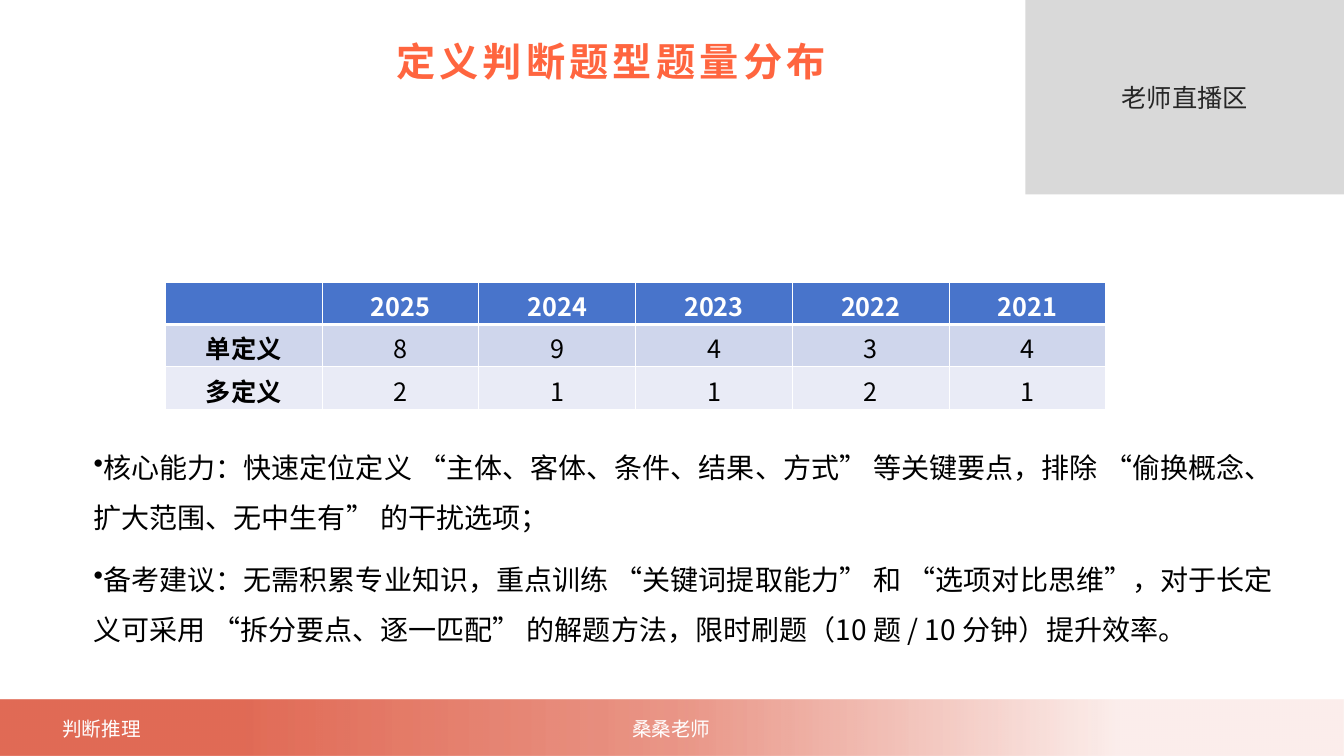
from pptx import Presentation
from pptx.dml.color import RGBColor
from pptx.enum.shapes import MSO_SHAPE
from pptx.enum.text import MSO_ANCHOR, MSO_AUTO_SIZE, PP_ALIGN
from pptx.oxml import parse_xml
from pptx.oxml.ns import nsdecls
from pptx.util import Pt

PX = 9144  # EMU per px, 100 px to the inch
FONT = "Noto Sans CJK SC"
COLORS = {
    "white": "FFFFFF",
    "black": "000000",
    "title": "FF653F",
    "live_area": "D9D9D9",
    "live_text": "262626",
    "footer": "DC5037",
    "header": "4874CB",
    "band_dark": "CFD6EC",
    "band_light": "E9EBF6",
}
FOOTER_STOPS = [(18, 84), (51, 59), (83, 10)]  # position %, opacity %
COUNTS = [
    ["", "2025", "2024", "2023", "2022", "2021"],
    ["单定义", "8", "9", "4", "3", "4"],
    ["多定义", "2", "1", "1", "2", "1"],
]
ADVICE = [
    "核心能力：快速定位定义 “主体、客体、条件、结果、方式” 等关键要点，"
    "排除 “偷换概念、扩大范围、无中生有” 的干扰选项；",
    "备考建议：无需积累专业知识，重点训练 “关键词提取能力” 和 “选项对比思维”，"
    "对于长定义可采用 “拆分要点、逐一匹配” 的解题方法，限时刷题（10 题 / 10 分钟）提升效率。",
]


def px(*lengths):
    return [length * PX for length in lengths]


def color(name):
    return RGBColor.from_string(COLORS[name])


def add_run(paragraph, text, size, color_name, bold=False):
    run = paragraph.add_run()
    run.text = text
    run.font.size = Pt(size)
    run.font.bold = bold
    run.font.name = FONT
    run.font.color.rgb = color(color_name)
    properties = run.font._element
    properties.append(parse_xml(f'<a:ea {nsdecls("a")} typeface="{FONT}"/>'))
    return properties


def add_block(slide, *box):
    block = slide.shapes.add_shape(MSO_SHAPE.RECTANGLE, *px(*box))
    block.shadow.inherit = False
    block.line.fill.background()
    return block


def add_live_area(slide):
    area = add_block(slide, 1017, 0, 316, 193)
    area.fill.solid()
    area.fill.fore_color.rgb = color("live_area")
    area.text_frame.vertical_anchor = MSO_ANCHOR.MIDDLE
    paragraph = area.text_frame.paragraphs[0]
    paragraph.alignment = PP_ALIGN.CENTER
    add_run(paragraph, "老师直播区", 18, "live_text")


def add_footer_band(slide):
    """Bar that fades out from left to right."""
    band = add_block(slide, 0, 694, 1333, 56)
    band.fill.gradient()
    band.fill.gradient_angle = 0
    stops = band._element.spPr.find(".//{*}gsLst")
    for stop in list(stops):
        stops.remove(stop)
    for position, opacity in FOOTER_STOPS:
        stops.append(parse_xml(
            f'<a:gs {nsdecls("a")} pos="{position * 1000}">'
            f'<a:srgbClr val="{COLORS["footer"]}">'
            f'<a:alpha val="{opacity * 1000}"/></a:srgbClr></a:gs>'))


def add_footer_label(slide, left, text):
    frame = slide.shapes.add_textbox(*px(left, 706, 98, 34)).text_frame
    frame.word_wrap = False
    frame.auto_size = MSO_AUTO_SIZE.SHAPE_TO_FIT_TEXT
    add_run(frame.paragraphs[0], text, 14, "white")


def set_title(slide, text):
    title = slide.shapes.title
    title.left, title.top, title.width, title.height = px(31, 22, 1150, 77)
    title.text_frame.vertical_anchor = MSO_ANCHOR.MIDDLE
    paragraph = title.text_frame.paragraphs[0]
    paragraph.alignment = PP_ALIGN.CENTER
    add_run(paragraph, text, 28, "title", bold=True).set("spc", "300")


def set_borders(cell, top, bottom):
    """White cell borders; top and bottom widths in points."""
    for side, width in (("L", 1), ("R", 1), ("T", top), ("B", bottom)):
        cell._tc.get_or_add_tcPr().append(parse_xml(
            f'<a:ln{side} {nsdecls("a")} w="{Pt(width)}"><a:solidFill>'
            f'<a:srgbClr val="{COLORS["white"]}"/></a:solidFill></a:ln{side}>'))


def add_count_table(slide):
    row_count, column_count = len(COUNTS), len(COUNTS[0])
    table = slide.shapes.add_table(
        row_count, column_count, *px(164, 280, 933, 42 * row_count)).table
    for row in table.rows:
        row.height = 42 * PX
    fills = ["header", "band_dark", "band_light"]
    for r, values in enumerate(COUNTS):
        for c, value in enumerate(values):
            cell = table.cell(r, c)
            set_borders(cell, 3 if r == 1 else 1, 3 if r == 0 else 1)
            cell.fill.solid()
            cell.fill.fore_color.rgb = color(fills[r])
            paragraph = cell.text_frame.paragraphs[0]
            paragraph.alignment = PP_ALIGN.CENTER
            if value:
                add_run(paragraph, value, 18, "white" if r == 0 else "black",
                        bold=r == 0 or c == 0)


def add_advice(slide):
    frame = slide.shapes.add_textbox(*px(83, 425, 1190, 276)).text_frame
    frame.word_wrap = True
    for i, text in enumerate(ADVICE):
        paragraph = frame.add_paragraph() if i else frame.paragraphs[0]
        paragraph.line_spacing = 1.5
        paragraph.space_before = Pt(4 if i else 0)
        paragraph.space_after = Pt(4)
        paragraph._p.get_or_add_pPr().append(
            parse_xml(f'<a:buChar {nsdecls("a")} char="•"/>'))
        add_run(paragraph, text, 20, "black")


def main():
    presentation = Presentation()
    presentation.slide_width, presentation.slide_height = px(1333, 750)
    slide = presentation.slides.add_slide(presentation.slide_layouts[5])
    add_live_area(slide)
    add_footer_band(slide)
    add_footer_label(slide, 52, "判断推理")
    add_footer_label(slide, 617, "桑桑老师")
    set_title(slide, "定义判断题型题量分布")
    add_count_table(slide)
    add_advice(slide)
    presentation.save("out.pptx")


if __name__ == "__main__":
    main()
